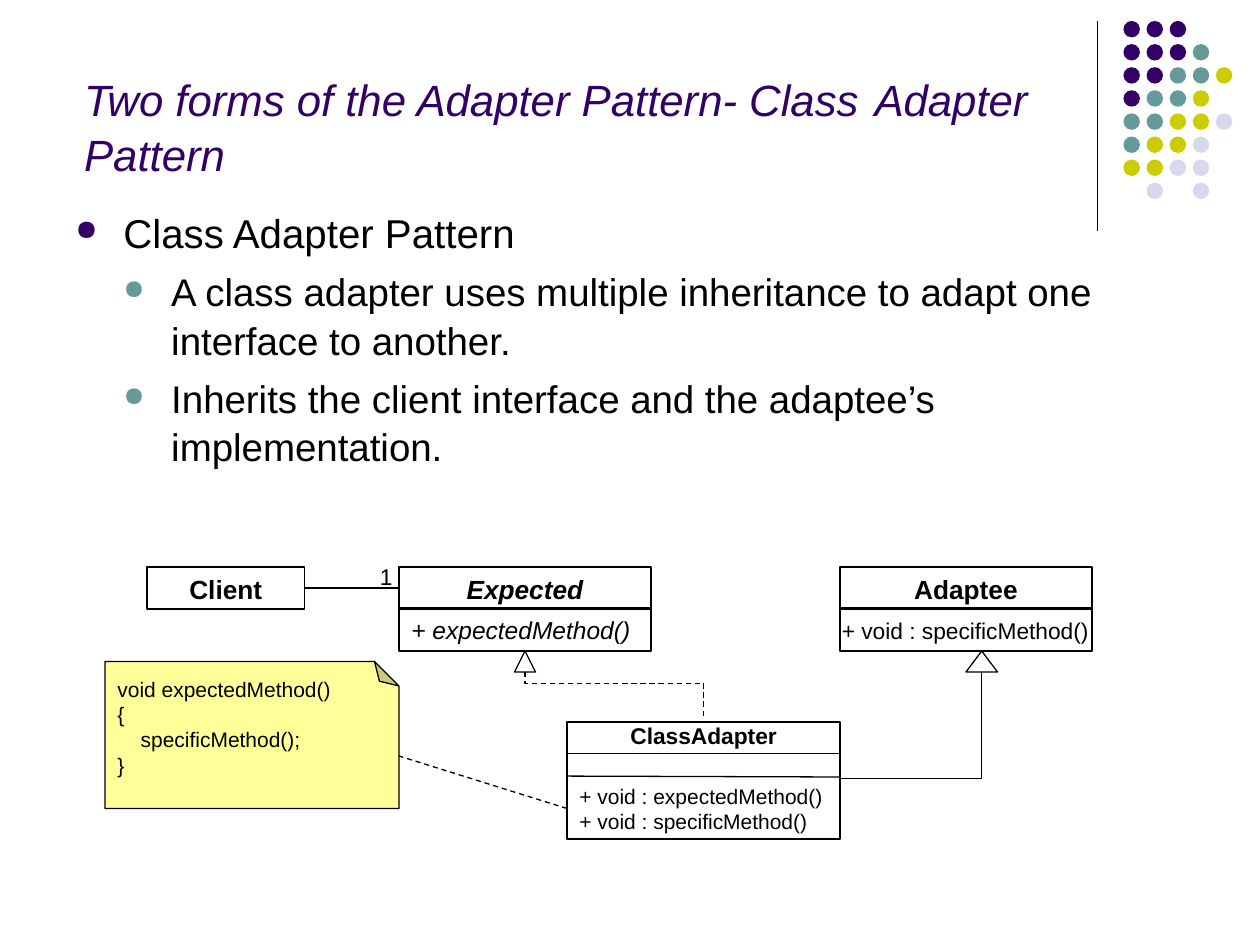
from dataclasses import dataclass

from lxml import etree
from pptx import Presentation
from pptx.dml import color as c
from pptx.enum import dml, shapes, text
from pptx.oxml import ns
from pptx.util import Pt


@dataclass(frozen=True)
class Theme:
    """Colours, font and type sizes of the slide."""
    font: str = "Arial"
    ink: str = "000000"
    purple: str = "330066"
    teal: str = "669999"
    olive: str = "CCCC00"
    mist: str = "D8D8EC"
    note: str = "FFFF99"
    white: str = "FFFFFF"
    title: float = 25
    title_gap: float = 33
    body: float = 23
    detail: float = 22
    name: float = 15
    method: float = 14
    small: float = 13
    code: float = 12
    rule: float = 0.75


THEME = Theme()
DOTS = ("PPP", "PPPT", "PPTTO", "PTTO", "TTOOM", "TOOM", "OOMM", " M M")
DOT_COLOURS = {"P": THEME.purple, "T": THEME.teal, "O": THEME.olive, "M": THEME.mist}


def add_child(parent, tag, **values):
    """Append a DrawingML element with the given attributes."""
    child = etree.SubElement(parent, ns.qn(tag))
    for name, value in values.items():
        child.set(name, value)
    return child


def add_span(para, words, **formats):
    """Add a run, formatted over the slide's defaults."""
    span = para.add_run()
    span.text = words
    colour = formats.pop("colour", THEME.ink)
    span.font.color.rgb = c.RGBColor.from_string(colour)
    for name, value in {"name": THEME.font, **formats}.items():
        setattr(span.font, name, value)


def add_box(page, left, top, width, height, anchor=text.MSO_ANCHOR.TOP):
    """Add an empty wrapping text box and return its frame."""
    box = page.shapes.add_textbox(Pt(left), Pt(top), Pt(width), Pt(height))
    box.text_frame.word_wrap = True
    box.text_frame.vertical_anchor = anchor
    return box.text_frame


def add_label(page, left, top, width, height, lines, size, align=text.PP_ALIGN.LEFT, **formats):
    """Add a text box with one paragraph for each line."""
    frame = add_box(page, left, top, width, height)
    for index, words in enumerate(lines):
        para = frame.paragraphs[0] if index == 0 else frame.add_paragraph()
        para.alignment = align
        add_span(para, words, size=Pt(size), **formats)


def add_figure(page, kind, left, top, width, height, fill=None, outlined=True):
    """Add a preset shape with an optional fill and outline."""
    figure = page.shapes.add_shape(kind, Pt(left), Pt(top), Pt(width), Pt(height))
    figure.shadow.inherit = False
    if fill:
        figure.fill.solid()
        figure.fill.fore_color.rgb = c.RGBColor.from_string(fill)
    else:
        figure.fill.background()
    if outlined:
        figure.line.color.rgb = c.RGBColor.from_string(THEME.ink)
        figure.line.width = Pt(THEME.rule)
    else:
        figure.line.fill.background()
    return figure


def add_line(page, start, end, dashed=False, kind=shapes.MSO_CONNECTOR.STRAIGHT, arrow=False):
    """Add a thin connector between two points."""
    line = page.shapes.add_connector(kind, *(Pt(value) for value in start + end))
    line.line.color.rgb = c.RGBColor.from_string(THEME.ink)
    line.line.width = Pt(THEME.rule)
    if dashed:
        line.line.dash_style = dml.MSO_LINE.DASH
    if arrow:
        add_child(line.line._get_or_add_ln(), "a:tailEnd", type="triangle")
    add_child(line._element.spPr, "a:effectLst")
    return line


def add_dots(page, left, top, pitch=13.2, size=9.4):
    """Draw the corner grid of dots."""
    for row, codes in enumerate(DOTS):
        for column, code in enumerate(codes):
            if code in DOT_COLOURS:
                add_figure(page, shapes.MSO_SHAPE.OVAL, left + column * pitch, top + row * pitch,
                           size, size, DOT_COLOURS[code], False)


def add_title(page, left, top, width, height):
    """Write the slide title."""
    para = add_box(page, left, top, width, height, text.MSO_ANCHOR.BOTTOM).paragraphs[0]
    for words, size, bold in (("Two forms of the Adapter Pattern- Class", THEME.title, False),
                              (" ", THEME.title_gap, True),
                              ("Adapter Pattern", THEME.title, False)):
        add_span(para, words, size=Pt(size), bold=bold, italic=True, colour=THEME.purple)


def add_body(page, left, top, width, height):
    """Write the bulleted points."""
    frame = add_box(page, left, top, width, height)
    points = (
        (0, "Class Adapter Pattern"),
        (1, "A class adapter uses multiple inheritance to adapt one interface to another."),
        (1, "Inherits the client interface and the adaptee’s implementation."),
    )
    indent = Pt(27.4)
    for index, (level, words) in enumerate(points):
        para = frame.add_paragraph() if index else frame.paragraphs[0]
        para.level = level
        props = para._p.get_or_add_pPr()
        props.set("marL", str(indent * (level + 1)))
        props.set("indent", str(-indent))
        colour = add_child(props, "a:buClr")
        add_child(colour, "a:srgbClr", val=THEME.teal if level else THEME.purple)
        add_child(props, "a:buSzPct", val="70000")
        add_child(props, "a:buChar", char="●")
        para.line_spacing = 1.05
        if index:
            para.space_before = Pt(5.5)
        add_span(para, words, size=Pt(THEME.detail if level else THEME.body))


def add_class(page, left, top, width, name, italic=False):
    """Draw the name compartment of a class."""
    add_figure(page, shapes.MSO_SHAPE.RECTANGLE, left, top, width, 24)
    add_label(page, left, top, width, 25, [name], THEME.name, text.PP_ALIGN.CENTER,
              bold=True, italic=italic)


def add_interface(page, left, top, name, method, size, italic=False, shift=0, drop=24, room=144):
    """Draw a class with one method below its name."""
    add_class(page, left, top, 144, name, italic)
    add_figure(page, shapes.MSO_SHAPE.RECTANGLE, left, top + 23, 144, 25)
    add_label(page, left + shift, top + drop, room, 24, [method], size, italic=italic)


def add_adapter(page, left, top, width):
    """Draw the adapter class with three compartments."""
    add_figure(page, shapes.MSO_SHAPE.RECTANGLE, left, top, width, 18)
    add_label(page, left, top - 3.5, width, 23, ["ClassAdapter"], THEME.small,
              text.PP_ALIGN.CENTER, bold=True)
    add_figure(page, shapes.MSO_SHAPE.RECTANGLE, left, top + 18, width, 49)
    add_label(page, left, top + 31.5, width, 36,
              ["+ void : expectedMethod()", "+ void : specificMethod()"], THEME.code)
    add_line(page, (left, top + 31), (left + width, top + 31.5))


def add_note(page, left, top, width, height):
    """Draw the code note with its fold at the top right."""
    note = add_figure(page, shapes.MSO_SHAPE.FOLDED_CORNER, left, top, width, height, THEME.note)
    note.rotation = 180
    note._element.spPr.xfrm.set("flipH", "1")
    add_label(page, left, top + 5, width, 65,
              ["void expectedMethod()", "{", "    specificMethod();", "}"], THEME.code)


def add_relations(page, left, top):
    """Link the classes, relative to the top left of the diagram."""
    add_line(page, (left + 114, top + 12), (left + 168, top + 12))
    add_label(page, left + 150, top - 6, 18, 23, ["1"], THEME.small)
    add_line(page, (left + 264, top + 138), (left + 168, top + 108), dashed=True)
    elbow = shapes.MSO_CONNECTOR.ELBOW
    across, rise = 102, 37
    middle, centre = left + 291, top + 66.5
    realize = add_line(page, (middle - rise / 2, centre + across / 2),
                       (middle + rise / 2, centre - across / 2), True, elbow, True)
    realize._element.spPr.xfrm.set("rot", "16200000")
    inherit = add_line(page, (left + 420, top + 121), (left + 501, top + 48), False, elbow, True)
    inherit._element.spPr.find(ns.qn("a:prstGeom")).set("prst", "bentConnector2")
    for tip, width in ((240, 12), (501, 18)):
        add_figure(page, shapes.MSO_SHAPE.ISOSCELES_TRIANGLE, left + tip - width / 2, top + 48,
                   width, 12, THEME.white)


def add_diagram(page, left, top):
    """Draw the class diagram from its top left corner."""
    add_class(page, left + 24, top, 90, "Client")
    add_interface(page, left + 168, top, "Expected", "+ expectedMethod()", THEME.method, True)
    add_interface(page, left + 420, top, "Adaptee", "+ void : specificMethod()", THEME.small,
                  shift=-6, drop=25, room=174)
    add_adapter(page, left + 264, top + 88.5, 156)
    add_note(page, left, top + 54, 168, 84)
    add_relations(page, left, top)


def main():
    """Build and save the slide."""
    deck = Presentation()
    deck.slide_width, deck.slide_height = Pt(720), Pt(540)
    page = deck.slides.add_slide(deck.slide_layouts[6])
    add_line(page, (627, 12), (627, 132))
    add_dots(page, 642, 12)
    add_title(page, 41, 14.5, 584, 92)
    add_body(page, 36, 114, 648, 356)
    add_diagram(page, 60, 324)
    deck.save("out.pptx")


if __name__ == "__main__":
    main()
